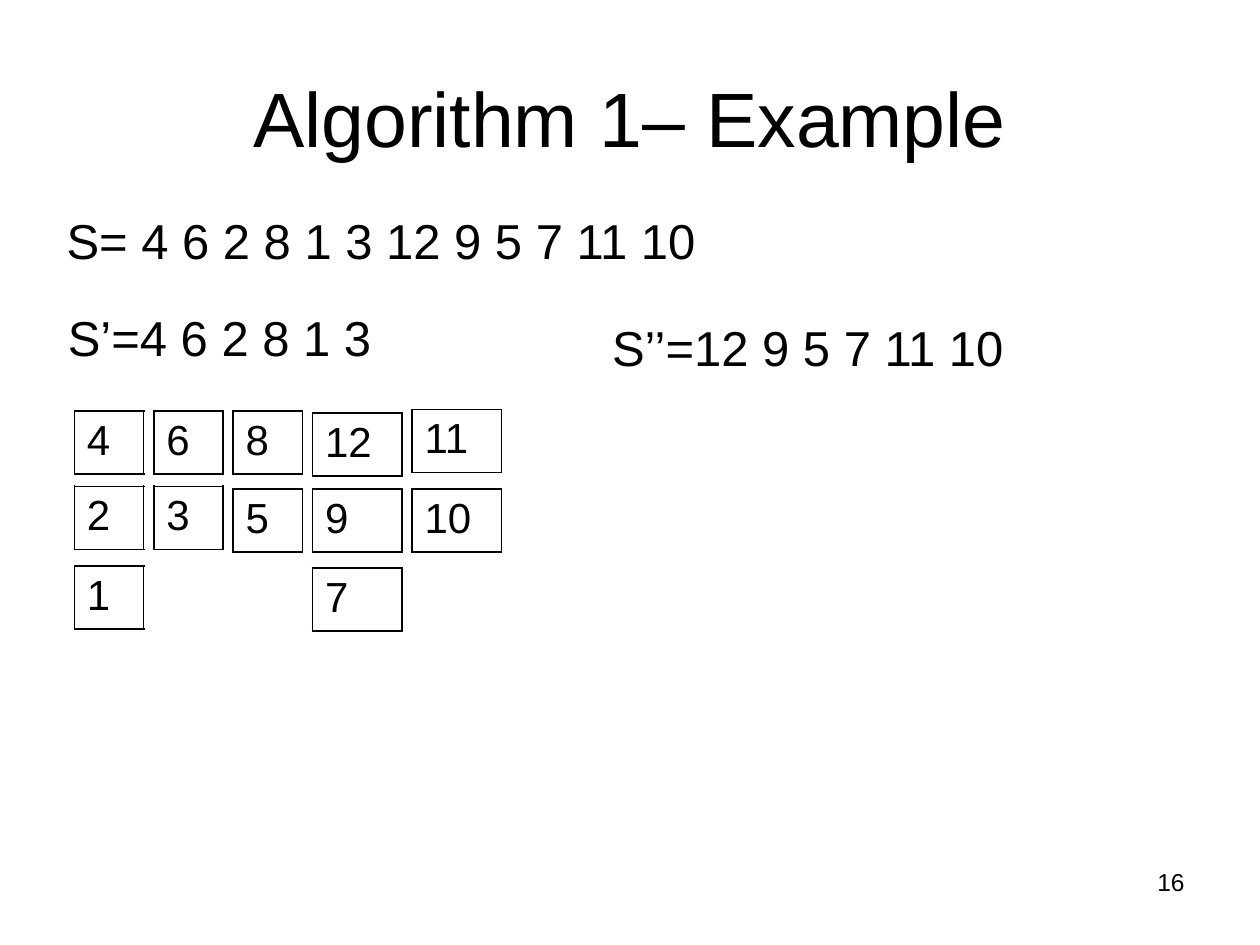
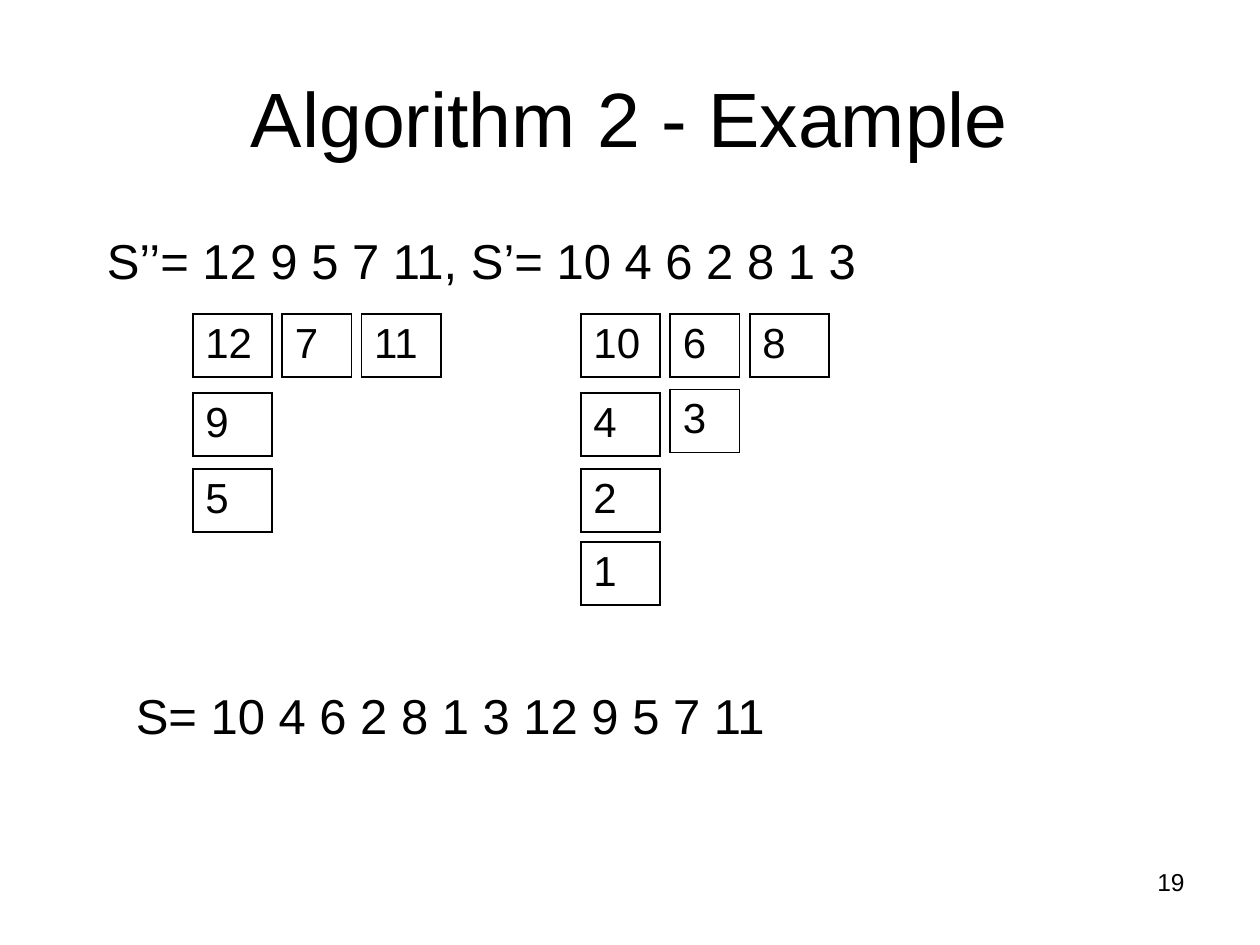
from lxml import etree
from pptx import Presentation
from pptx.dml.color import RGBColor
from pptx.enum import text
from pptx.oxml import ns
from pptx.util import Inches, Pt

FONT = "Arial"
INK = "000000"
CELL_HEIGHT = 0.5
PILE_GAP = 0.08
NARROW, MEDIUM, WIDE = 0.55, 0.63, 0.71


def color(hex_code):
    return RGBColor.from_string(hex_code)


def write(frame, words, size, align=text.PP_ALIGN.LEFT):
    frame.text = words
    paragraph = frame.paragraphs[0]
    paragraph.alignment = align
    paragraph.font.name = FONT
    paragraph.font.size = Pt(size)
    paragraph.font.color.rgb = color(INK)


def add_label(slide, box, words, size=28, align=text.PP_ALIGN.LEFT, wrap=True):
    frame = slide.shapes.add_textbox(*map(Inches, box)).text_frame
    frame.word_wrap = wrap
    write(frame, words, size, align)
    return frame


def add_sequence(slide, box, words, wrap=True):
    """Write a sequence of numbers in a box that grows with its text."""
    frame = add_label(slide, box, words, wrap=wrap)
    frame.auto_size = text.MSO_AUTO_SIZE.SHAPE_TO_FIT_TEXT


def outline_cell(cell):
    properties = cell._tc.get_or_add_tcPr()
    for side in ("lnL", "lnR", "lnT", "lnB"):
        line = etree.SubElement(properties, ns.qn(f"a:{side}"), w=str(Pt(1.08)))
        fill = etree.SubElement(line, ns.qn("a:solidFill"))
        etree.SubElement(fill, ns.qn("a:srgbClr"), val=INK)


def add_number(slide, left, top, width, number):
    """Add a one-cell table holding a number."""
    box = map(Inches, (left, top, width, CELL_HEIGHT))
    table = slide.shapes.add_table(1, 1, *box).table
    table.first_row = table.horz_banding = False
    cell = table.cell(0, 0)
    outline_cell(cell)
    cell.fill.background()
    write(cell.text_frame, str(number), 24)


def add_piles(slide, left, top, piles):
    """Set piles side by side; each is a width and its numbers with their drop from the top."""
    for width, numbers in piles:
        for number, drop in numbers.items():
            add_number(slide, left, top + drop, width, number)
        left += width + PILE_GAP


def add_example_slide(deck, title, page):
    slide = deck.slides.add_slide(deck.slide_layouts[5])
    heading = slide.shapes.title
    heading.left, heading.top, heading.width, heading.height = map(
        Inches, (0.5, 0.3, 9, 1.25))
    heading.text_frame.vertical_anchor = text.MSO_ANCHOR.MIDDLE
    write(heading.text_frame, title, 44, text.PP_ALIGN.CENTER)
    add_label(slide, (7.17, 6.83, 2.33, 0.52), str(page), 14, text.PP_ALIGN.RIGHT)
    return slide


def build_algorithm_1(deck):
    slide = add_example_slide(deck, "Algorithm 1– Example", 16)
    add_sequence(slide, (0.43, 1.62, 5.75, 0.57), "S= 4 6 2 8 1 3 12 9 5 7 11 10")
    add_sequence(slide, (0.44, 2.39, 2.61, 0.57), "S’=4 6 2 8 1 3", wrap=False)
    add_sequence(slide, (4.76, 2.47, 3.47, 0.57), "S’’=12 9 5 7 11 10")
    add_piles(slide, 0.59, 3.26, [
        (NARROW, {4: 0, 2: 0.6, 1: 1.23}),
        (NARROW, {6: 0, 3: 0.6}),
        (NARROW, {8: 0, 5: 0.62}),
        (WIDE, {12: 0.02, 9: 0.62, 7: 1.25}),
        (WIDE, {11: -0.01, 10: 0.62}),
    ])


def build_algorithm_2(deck):
    slide = add_example_slide(deck, "Algorithm 2 - Example", 19)
    add_sequence(slide, (0.75, 1.78, 6.77, 0.57), "S’’= 12 9 5 7 11, S’= 10 4 6 2 8 1 3")
    add_piles(slide, 1.53, 2.49, [
        (MEDIUM, {12: 0, 9: 0.63, 5: 1.23}),
        (NARROW, {7: 0}),
        (MEDIUM, {11: 0}),
    ])
    add_piles(slide, 4.61, 2.49, [
        (MEDIUM, {10: 0, 4: 0.63, 2: 1.23, 1: 1.81}),
        (NARROW, {6: 0, 3: 0.6}),
        (MEDIUM, {8: 0}),
    ])
    add_sequence(slide, (0.98, 5.39, 6.77, 0.57), "S= 10 4 6 2 8 1 3 12 9 5 7 11")


def main():
    deck = Presentation()
    deck.slide_width, deck.slide_height = Inches(10), Inches(7.5)
    build_algorithm_1(deck)
    build_algorithm_2(deck)
    deck.save("out.pptx")


if __name__ == "__main__":
    main()
